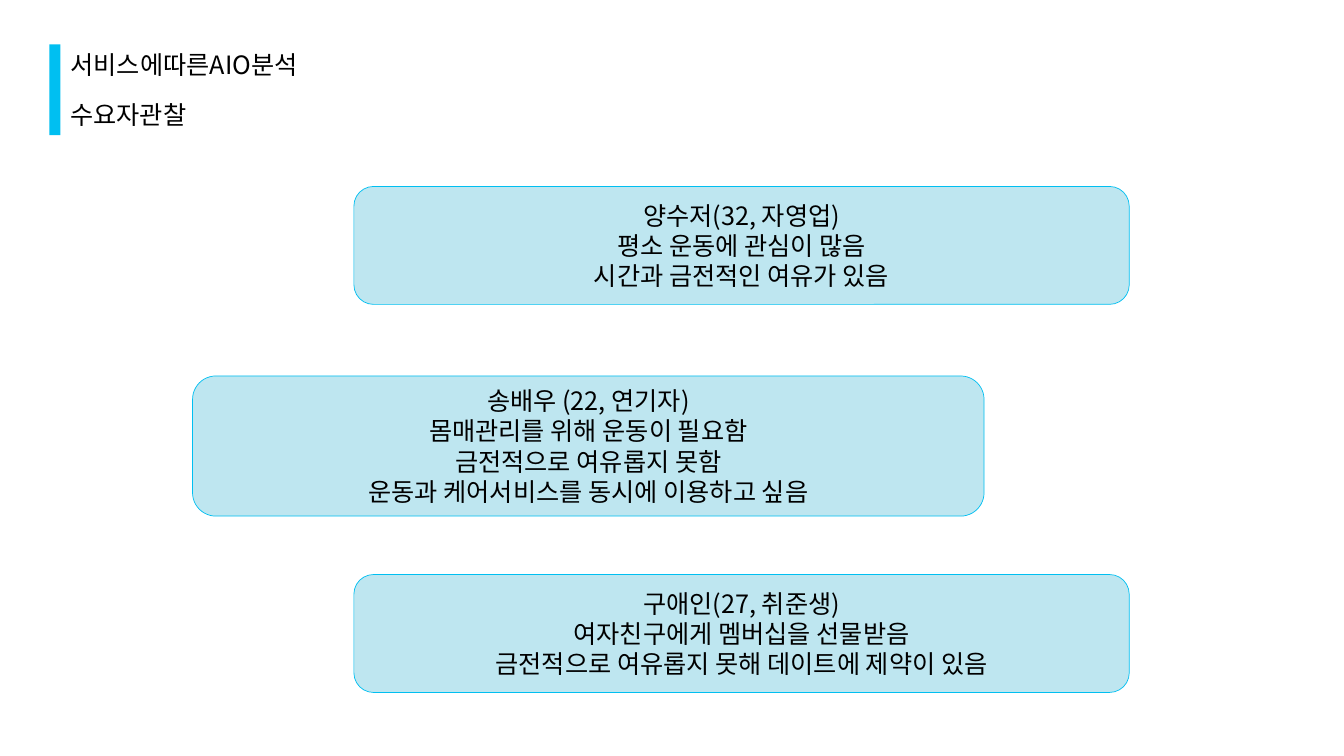
from lxml.etree import SubElement
from pptx import Presentation
from pptx.dml.color import RGBColor
from pptx.enum.shapes import MSO_SHAPE as SHAPE
from pptx.enum.text import MSO_ANCHOR as ANCHOR, MSO_AUTO_SIZE as AUTO, PP_ALIGN as ALIGN
from pptx.oxml.ns import qn
from pptx.util import Pt

PX = 9144
FONT = "Noto Sans CJK KR"
BLACK = RGBColor(0x00, 0x00, 0x00)
CYAN = RGBColor(0x00, 0xBF, 0xF1)
PALE = RGBColor(0xBE, 0xE6, 0xF0)

TEXT_FORMAT = {"name": FONT, "size": Pt(18), "bold": False}
HEADING_FRAME = {"word_wrap": True, "auto_size": AUTO.SHAPE_TO_FIT_TEXT,
                 "vertical_anchor": ANCHOR.TOP}
CARD_FRAME = {"word_wrap": True, "vertical_anchor": ANCHOR.MIDDLE}

HEADING_BOX = (49, 44, 454, 90)
HEADINGS = ["서비스에따른AIO분석", "수요자관찰"]
PERSONAS = [
    ((351, 185, 769, 117),
     ["양수저(32, 자영업)", "평소 운동에 관심이 많음", "시간과 금전적인 여유가 있음"]),
    ((191, 373, 785, 139),
     ["송배우 (22, 연기자)", "몸매관리를 위해 운동이 필요함", "금전적으로 여유롭지 못함",
      "운동과 케어서비스를 동시에 이용하고 싶음"]),
    ((351, 570, 769, 117),
     ["구애인(27, 취준생)", "여자친구에게 멤버십을 선물받음",
      "금전적으로 여유롭지 못해 데이트에 제약이 있음"]),
]


def emu(*lengths):
    return [n * PX for n in lengths]


def apply(obj, values):
    for name, value in values.items():
        setattr(obj, name, value)


def write(tf, lines, align, frame):
    apply(tf, frame)
    for i, line in enumerate(lines):
        p = tf.paragraphs[0] if i == 0 else tf.add_paragraph()
        p.alignment = align
        r = p.add_run()
        r.text = line
        apply(r.font, TEXT_FORMAT)
        r.font.color.rgb = BLACK
        SubElement(r.font._element, qn("a:ea"), typeface=FONT)


def add_block(slide, kind, box, fill):
    sp = slide.shapes.add_shape(kind, *emu(*box))
    sp.shadow.inherit = False
    sp.fill.solid()
    sp.fill.fore_color.rgb = fill
    return sp


def add_heading(slide, box):
    x, y, w, h = box
    bar_w, line_h, pitch = 11, 40, 50
    bar = add_block(slide, SHAPE.RECTANGLE, (x, y, bar_w, h), CYAN)
    bar.line.fill.background()
    title = slide.shapes.title
    subtitle = slide.shapes.add_textbox(0, 0, 0, 0)
    for i, (sp, line) in enumerate(zip((title, subtitle), HEADINGS)):
        place = emu(x + bar_w, y + i * pitch, w - bar_w, line_h)
        apply(sp, dict(zip(("left", "top", "width", "height"), place)))
        write(sp.text_frame, [line], ALIGN.JUSTIFY, HEADING_FRAME)


def add_persona(slide, box, lines):
    card = add_block(slide, SHAPE.ROUNDED_RECTANGLE, box, PALE)
    card.line.color.rgb = CYAN
    card.line.width = Pt(0.5)
    write(card.text_frame, lines, ALIGN.CENTER, CARD_FRAME)


def main():
    prs = Presentation()
    prs.slide_width, prs.slide_height = emu(1333, 750)
    slide = prs.slides.add_slide(prs.slide_layouts.get_by_name("Title Only"))
    add_heading(slide, HEADING_BOX)
    for box, lines in PERSONAS:
        add_persona(slide, box, lines)
    prs.save("out.pptx")


if __name__ == "__main__":
    main()
